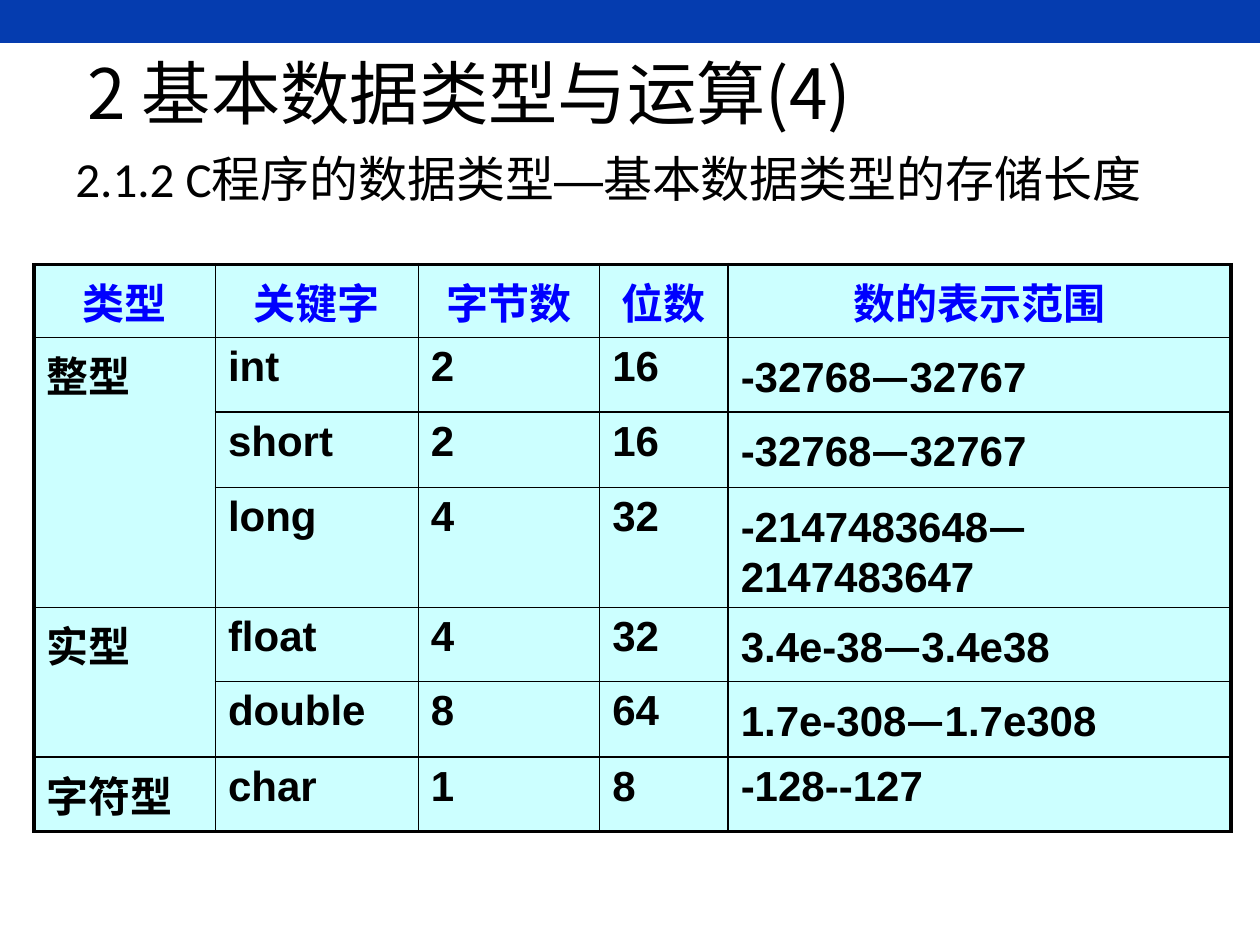
import pptx
import pptx.dml.color
import pptx.enum.shapes
import pptx.enum.text
import pptx.oxml
import pptx.oxml.ns
import pptx.util
from pptx.util import Inches

CJK = "Noto Sans CJK SC"
LATIN = "Arial"
BODY = "Calibri"
COLUMNS = [1.44, 1.61, 1.44, 1.02, 3.99]
ROWS = [0.58, 0.59, 0.6, 0.95, 0.59, 0.6, 0.59]
HEADER = ["类型", "关键字", "字节数", "位数", "数的表示范围"]
TYPES = [
    ["整型", "int", "2", "16", "-32768—32767"],
    ["", "short", "2", "16", "-32768—32767"],
    ["", "long", "4", "32", "-2147483648—2147483647"],
    ["实型", "float", "4", "32", "3.4e-38—3.4e38"],
    ["", "double", "8", "64", "1.7e-308—1.7e308"],
    ["字符型", "char", "1", "8", "-128--127"],
]
MERGES = [(1, 3), (4, 5)]


def rgb(value):
    return pptx.dml.color.RGBColor.from_string(value)


class SlideBuilder:
    """Hold the slide style and the current page, and draw each kind of element."""

    bar_color = "053CAF"
    text_color = "000000"
    header_color = "0000FF"
    cell_color = "CCFFFF"
    thin, thick = 1, 2.25

    def __init__(self, page):
        self.page = page

    def bar(self, left, top, width, height):
        kind = pptx.enum.shapes.MSO_SHAPE.RECTANGLE
        shape = self.page.shapes.add_shape(
            kind, Inches(left), Inches(top), Inches(width), Inches(height))
        shape.shadow.inherit = False
        shape.fill.solid()
        shape.fill.fore_color.rgb = rgb(self.bar_color)
        shape.line.fill.background()

    def add_spans(self, para, pieces, size, color, bold=False):
        para.font.size = pptx.util.Pt(size)
        para.font.bold = bold
        para.font.color.rgb = rgb(color)
        for text, latin, asian in pieces:
            span = para.add_run()
            span.text = text
            span.font.name = latin
            properties = span.font._element
            east = properties.makeelement(pptx.oxml.ns.qn("a:ea"), {"typeface": asian})
            properties.append(east)

    def text(self, left, top, width, height, pieces, size, anchor):
        box = self.page.shapes.add_textbox(
            Inches(left), Inches(top), Inches(width), Inches(height))
        frame = box.text_frame
        frame.word_wrap = True
        frame.vertical_anchor = anchor
        para = frame.paragraphs[0]
        para.line_spacing = 0.9
        self.add_spans(para, pieces, size, self.text_color)
        return para

    def borders(self, cell, outer_sides):
        properties = cell._tc.get_or_add_tcPr()
        for side in "LRTB":
            points = self.thick if side in outer_sides else self.thin
            properties.append(pptx.oxml.parse_xml(
                f'<a:ln{side} {pptx.oxml.ns.nsdecls("a")} w="{pptx.util.Pt(points)}">'
                f'<a:solidFill><a:srgbClr val="{self.text_color}"/></a:solidFill>'
                f'</a:ln{side}>'))

    def cell_text(self, cell, text, is_header):
        para = cell.text_frame.paragraphs[0]
        para.space_before = pptx.util.Pt(4.8)
        if is_header:
            para.alignment = pptx.enum.text.PP_ALIGN.CENTER
        pieces = []
        for index, part in enumerate(text.split("—")):
            if index:
                pieces.append(("—", CJK, CJK))
            pieces.append((part, LATIN if part.isascii() else CJK, CJK))
        color = self.header_color if is_header else self.text_color
        self.add_spans(para, pieces, 24, color, bold=True)

    def table(self, left, top, columns, rows, values, merges):
        frame = self.page.shapes.add_table(
            len(rows), len(columns), Inches(left), Inches(top),
            Inches(sum(columns)), Inches(sum(rows)))
        table = frame.table
        table.first_row = table.horz_banding = False
        for column, width in zip(table.columns, columns):
            column.width = Inches(width)
        for row, height in zip(table.rows, rows):
            row.height = Inches(height)
        for first, last in merges:
            table.cell(first, 0).merge(table.cell(last, 0))
        for r, line in enumerate(values):
            for c, text in enumerate(line):
                cell = table.cell(r, c)
                edges = {"L": c == 0, "R": c == len(columns) - 1,
                         "T": r == 0, "B": r == len(rows) - 1}
                self.borders(cell, [side for side in edges if edges[side]])
                cell.fill.solid()
                cell.fill.fore_color.rgb = rgb(self.cell_color)
                if text:
                    self.cell_text(cell, text, r == 0)


def main():
    deck = pptx.Presentation()
    deck.slide_width, deck.slide_height = Inches(10), Inches(7.5)
    builder = SlideBuilder(deck.slides.add_slide(deck.slide_layouts[6]))
    anchors = pptx.enum.text.MSO_ANCHOR

    builder.bar(0, 0, 10, 0.34)
    builder.text(0.6, 0.46, 7.83, 0.62, [("2 基本数据类型与运算(4)", CJK, CJK)],
                 39.6, anchors.MIDDLE)
    subtitle = builder.text(
        0.5, 1.18, 8.75, 5.74,
        [("2.1.2 C程序的数据类型", BODY, CJK), ("—", LATIN, LATIN),
         ("基本数据类型的存储长度", BODY, CJK)],
        28, anchors.TOP)
    subtitle.space_before = pptx.util.Pt(10)
    indent = subtitle._p.get_or_add_pPr()
    indent.set("marL", str(Inches(0.25)))
    indent.set("indent", str(Inches(-0.25)))
    builder.table(0.27, 2.1, COLUMNS, ROWS, [HEADER] + TYPES, MERGES)
    deck.save("out.pptx")


if __name__ == "__main__":
    main()
